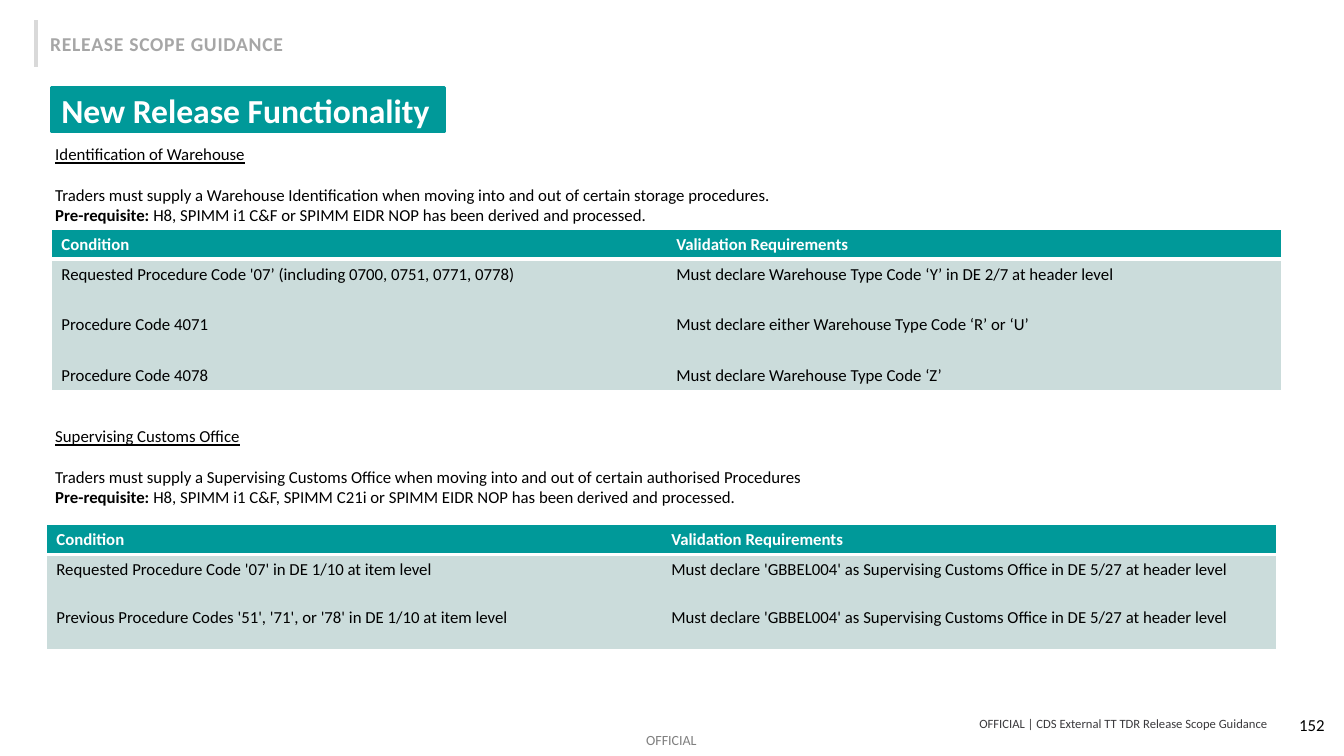
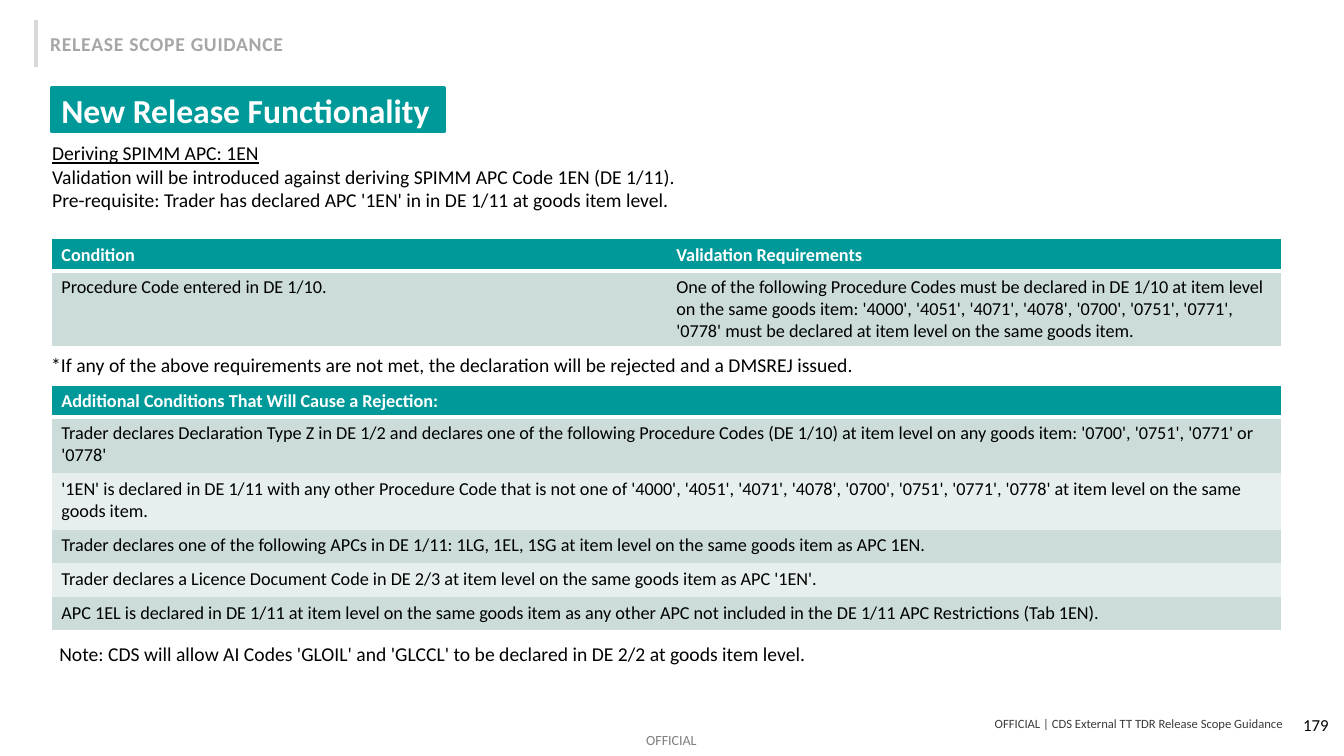
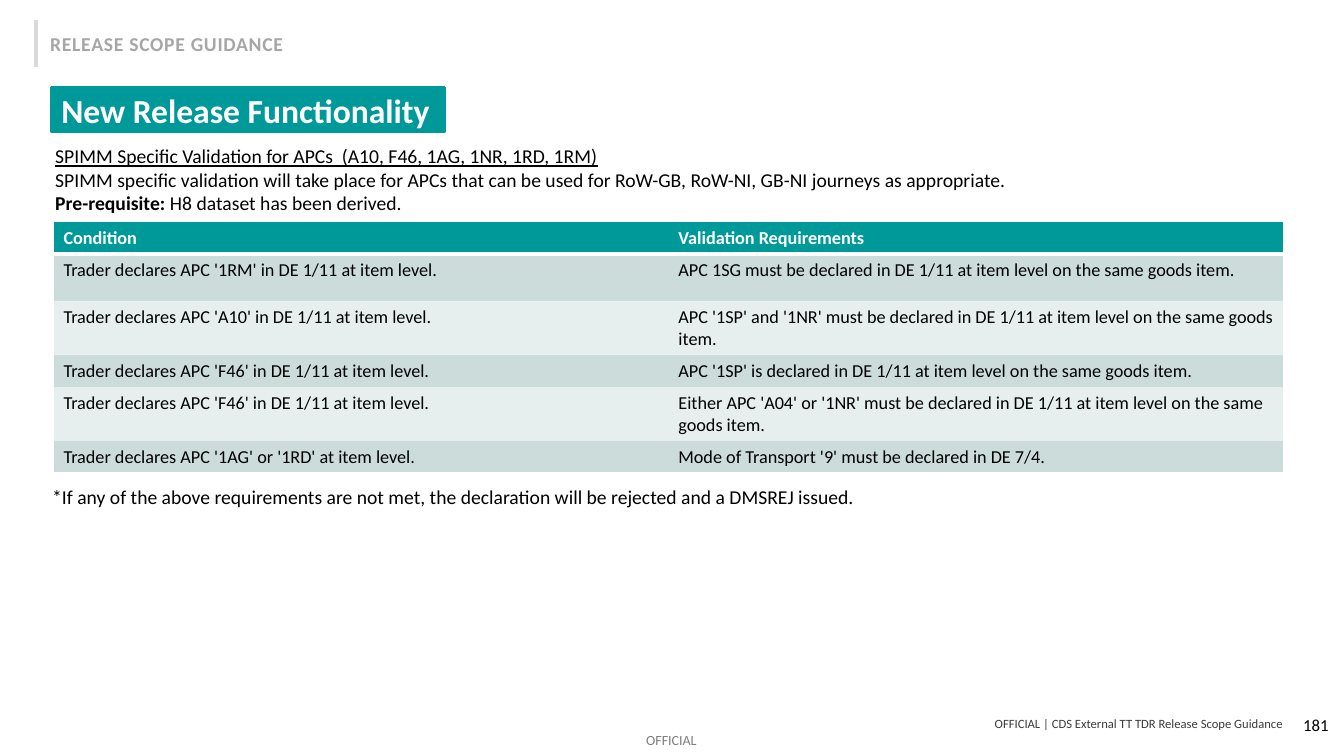
"""Build three release scope guidance slides with validation tables."""
from lxml import etree
from pptx import Presentation
from pptx.dml.color import RGBColor
from pptx.enum import shapes, text
from pptx.oxml import ns
from pptx.util import Pt

COLOURS = {
    "teal": "009999", "white": "FFFFFF", "black": "000000", "rule": "D9D9D9",
    "section": "A6A6A6", "footer": "3B3A3D", "marking": "7F7F7F",
    "odd": "CBDCDB", "even": "E7EEEE",
}
FONT = "Calibri"
SECTION = "RELEASE SCOPE GUIDANCE"
TITLE = "New Release Functionality"
MARKING = "OFFICIAL"
FOOTER = "OFFICIAL | CDS External TT TDR Release Scope Guidance"
HEADINGS = ["Condition", "Validation Requirements"]
PREREQUISITE = "Pre-requisite: "
REJECTION = "*If any of the above requirements are not met, the declaration will be rejected and a DMSREJ issued."
SUPERVISING = "Must declare 'GBBEL004' as Supervising Customs Office in DE 5/27 at header level"
TABLE_WIDTH, TEXT_WIDTH = 878.4, 888.5
NO_STYLE = "{2D5ABB26-0587-4C30-8999-92F81FD0307C}"

SLIDES = [
    {
        "page": "152", "page_right": 953.3, "footer_right": 905,
        "notes": [
            {"at": (32.4, 99.4), "size": 12, "heading": "Identification of Warehouse", "gap": 14.4,
             "lines": [
                 "Traders must supply a Warehouse Identification when moving into and out of certain storage procedures."],
             "needs": "H8, SPIMM i1 C&F or SPIMM EIDR NOP has been derived and processed."},
            {"at": (32.4, 300.8), "size": 12, "heading": "Supervising Customs Office", "gap": 14.4,
             "lines": [
                 "Traders must supply a Supervising Customs Office when moving into and out of certain authorised Procedures"],
             "needs": "H8, SPIMM i1 C&F, SPIMM C21i or SPIMM EIDR NOP has been derived and processed."},
        ],
        "tables": [
            {"at": (36.7, 163.6), "size": 12, "heights": [21.6, 36, 36, 21.6], "banded": False,
             "rows": [
                 HEADINGS,
                 ["Requested Procedure Code '07’ (including 0700, 0751, 0771, 0778)",
                  "Must declare Warehouse Type Code ‘Y’ in DE 2/7 at header level"],
                 ["Procedure Code 4071", "Must declare either Warehouse Type Code ‘R’ or ‘U’"],
                 ["Procedure Code 4078", "Must declare Warehouse Type Code ‘Z’"]]},
            {"at": (33.1, 374.4), "size": 12, "heights": [20.5, 34, 34], "banded": False,
             "rows": [
                 HEADINGS,
                 ["Requested Procedure Code '07' in DE 1/10 at item level", SUPERVISING],
                 ["Previous Procedure Codes '51', '71', or '78' in DE 1/10 at item level", SUPERVISING]]},
        ],
    },
    {
        "page": "179", "page_right": 956.2, "footer_right": 916,
        "notes": [
            {"at": (30.2, 97.2), "size": 14, "heading": "Deriving SPIMM APC: 1EN",
             "lines": [
                 "Validation will be introduced against deriving SPIMM APC Code 1EN (DE 1/11).",
                 "Pre-requisite: Trader has declared APC '1EN' in in DE 1/11 at goods item level."]},
            {"at": (35.3, 455), "size": 14,
             "lines": ["Note: CDS will allow AI Codes 'GLOIL' and 'GLCCL' to be declared in DE 2/2 at goods item level."]},
            {"at": (29.5, 248.4), "size": 14, "lines": [REJECTION]},
        ],
        "tables": [
            {"at": (36.7, 170.6), "size": 13, "heights": [22.3, 54], "banded": True,
             "rows": [
                 HEADINGS,
                 ["Procedure Code entered in DE 1/10.",
                  "One of the following Procedure Codes must be declared in DE 1/10 at item level on the same goods "
                  "item: '4000', '4051', '4071', '4078', '0700', '0751', '0771', '0778' must be declared at item "
                  "level on the same goods item."]]},
            {"at": (36.7, 275), "size": 13, "heights": [20.5, 40.2, 40.2, 24, 24, 24], "banded": True,
             "rows": [
                 ["Additional Conditions That Will Cause a Rejection:"],
                 ["Trader declares Declaration Type Z in DE 1/2 and declares one of the following Procedure Codes "
                  "(DE 1/10) at item level on any goods item: '0700', '0751', '0771' or '0778'"],
                 ["'1EN' is declared in DE 1/11 with any other Procedure Code that is not one of '4000', '4051', "
                  "'4071', '4078', '0700', '0751', '0771', '0778' at item level on the same goods item."],
                 ["Trader declares one of the following APCs in DE 1/11: 1LG, 1EL, 1SG at item level on the same "
                  "goods item as APC 1EN."],
                 ["Trader declares a Licence Document Code in DE 2/3 at item level on the same goods item as APC '1EN'."],
                 ["APC 1EL is declared in DE 1/11 at item level on the same goods item as any other APC not included "
                  "in the DE 1/11 APC Restrictions (Tab 1EN)."]]},
        ],
    },
    {
        "page": "181", "page_right": 956.2, "footer_right": 916,
        "notes": [
            {"at": (32.4, 99.4), "size": 14,
             "heading": "SPIMM Specific Validation for APCs  (A10, F46, 1AG, 1NR, 1RD, 1RM)",
             "lines": [
                 "SPIMM specific validation will take place for APCs that can be used for RoW-GB, RoW-NI, GB-NI "
                 "journeys as appropriate."],
             "needs": "H8 dataset has been derived."},
            {"at": (30.2, 342.7), "size": 14, "lines": [REJECTION]},
        ],
        "tables": [
            {"at": (38.2, 158.4), "size": 13, "heights": [22.3, 33.8, 37.4, 22.3, 37.4, 22.3], "banded": True,
             "rows": [
                 HEADINGS,
                 ["Trader declares APC '1RM' in DE 1/11 at item level.",
                  "APC 1SG must be declared in DE 1/11 at item level on the same goods item."],
                 ["Trader declares APC 'A10' in DE 1/11 at item level.",
                  "APC '1SP' and '1NR' must be declared in DE 1/11 at item level on the same goods item."],
                 ["Trader declares APC 'F46' in DE 1/11 at item level.",
                  "APC '1SP' is declared in DE 1/11 at item level on the same goods item."],
                 ["Trader declares APC 'F46' in DE 1/11 at item level.",
                  "Either APC 'A04' or '1NR' must be declared in DE 1/11 at item level on the same goods item."],
                 ["Trader declares APC '1AG' or '1RD' at item level.",
                  "Mode of Transport '9' must be declared in DE 7/4."]]},
        ],
    },
]


def rgb(name):
    return RGBColor.from_string(COLOURS[name])


def style(paragraph, size, colour, bold=None, underline=None):
    font = paragraph.font
    font.name, font.size, font.bold, font.underline = FONT, Pt(size), bold, underline
    font.color.rgb = rgb(colour)


def add_box(slide, left, top, width, height, inset=True):
    frame = slide.shapes.add_textbox(Pt(left), Pt(top), Pt(width), Pt(height)).text_frame
    frame.word_wrap = True
    if not inset:
        frame.margin_left = frame.margin_right = frame.margin_top = frame.margin_bottom = 0
    return frame


def add_label(slide, box, words, size, colour, bold=None, right=False, inset=True):
    frame = add_box(slide, *box, inset=inset)
    label = frame.paragraphs[0]
    label.text = words
    style(label, size, colour, bold)
    if right:
        label.alignment = text.PP_ALIGN.RIGHT
        frame.vertical_anchor = text.MSO_ANCHOR.MIDDLE
    return label


def add_frame(slide, page, page_right, footer_right):
    add_label(slide, (461.5, 522.7, 60, 12.2), MARKING, 10, "marking", inset=False)
    for x in (25.9, 25.2):
        rule = slide.shapes.add_connector(shapes.MSO_CONNECTOR.STRAIGHT, Pt(x), Pt(14.4), Pt(x), Pt(48.2))
        rule.line.color.rgb = rgb("rule")
        rule.line.width = Pt(2.25)
        etree.SubElement(rule._element.spPr, ns.qn("a:effectLst"))
    section = add_label(slide, (28.8, 19.4, 200, 24.5), SECTION, 14, "section", True)
    section.runs[0]._r.get_or_add_rPr().set("spc", "50")
    add_label(slide, (footer_right - 500, 511.2, 500, 11.5), FOOTER, 9, "footer", right=True, inset=False)
    add_label(slide, (page_right - 216, 503.3, 216, 28.8), page, 12, "black", right=True)

    banner = slide.shapes.add_shape(shapes.MSO_SHAPE.RECTANGLE, Pt(36.7), Pt(62.6), Pt(280.8), Pt(31.7))
    banner.shadow.inherit = False
    banner.fill.solid()
    banner.fill.fore_color.rgb = banner.line.color.rgb = rgb("teal")
    banner.line.width = Pt(2)
    banner.text_frame.vertical_anchor = text.MSO_ANCHOR.MIDDLE
    title = banner.text_frame.paragraphs[0]
    title.text = TITLE
    title.alignment = text.PP_ALIGN.LEFT
    style(title, 24, "white", True)


def add_note(slide, at, size, lines, heading=None, gap=0, needs=None):
    entries = [[heading]] if heading else []
    entries += [[line] for line in lines]
    if needs:
        entries.append([PREREQUISITE, needs])
    frame = add_box(slide, *at, TEXT_WIDTH, size * 1.22 * len(entries) + gap + 7.2)
    for number, parts in enumerate(entries):
        paragraph = frame.add_paragraph() if number else frame.paragraphs[0]
        for part in parts:
            paragraph.add_run().text = part
        if len(parts) > 1:
            paragraph.runs[0].font.bold = True
        if number == 1 and gap:
            paragraph.space_before = Pt(gap)
        style(paragraph, size, "black", underline=True if parts == [heading] else None)


def add_border(cell, side, width):
    line = etree.SubElement(cell._tc.get_or_add_tcPr(), ns.qn(f"a:ln{side}"), w=str(Pt(width)))
    fill = etree.SubElement(line, ns.qn("a:solidFill"))
    etree.SubElement(fill, ns.qn("a:srgbClr"), val=COLOURS["white"])


def add_grid(slide, at, size, heights, rows, banded):
    columns = len(rows[0])
    table = slide.shapes.add_table(
        len(rows), columns, Pt(at[0]), Pt(at[1]), Pt(TABLE_WIDTH), Pt(sum(heights))).table
    table.horz_banding = False
    table._tbl.tblPr.find(ns.qn("a:tableStyleId")).text = NO_STYLE
    for column in table.columns:
        column.width = Pt(TABLE_WIDTH / columns)
    for r, (height, row) in enumerate(zip(heights, rows)):
        table.rows[r].height = Pt(height)
        head = r == 0
        band = "teal" if head else "even" if banded and r % 2 == 0 else "odd"
        for c, words in enumerate(row):
            cell = table.cell(r, c)
            edges = [("L", c == 0, 1), ("R", c == columns - 1, 1), ("T", head, 1),
                     ("B", head or r == len(rows) - 1, 3 if head else 1)]
            for side, shown, width in edges:
                if shown:
                    add_border(cell, side, width)
            cell.fill.solid()
            cell.fill.fore_color.rgb = rgb(band)
            cell.text = words
            style(cell.text_frame.paragraphs[0], size, "white" if head else "black", head)


def main():
    deck = Presentation()
    deck.slide_width, deck.slide_height = Pt(960), Pt(540)
    for content in SLIDES:
        slide = deck.slides.add_slide(deck.slide_layouts[6])
        add_frame(slide, content["page"], content["page_right"], content["footer_right"])
        for note in content["notes"]:
            add_note(slide, **note)
        for grid in content["tables"]:
            add_grid(slide, **grid)
    deck.save("out.pptx")


if __name__ == "__main__":
    main()
